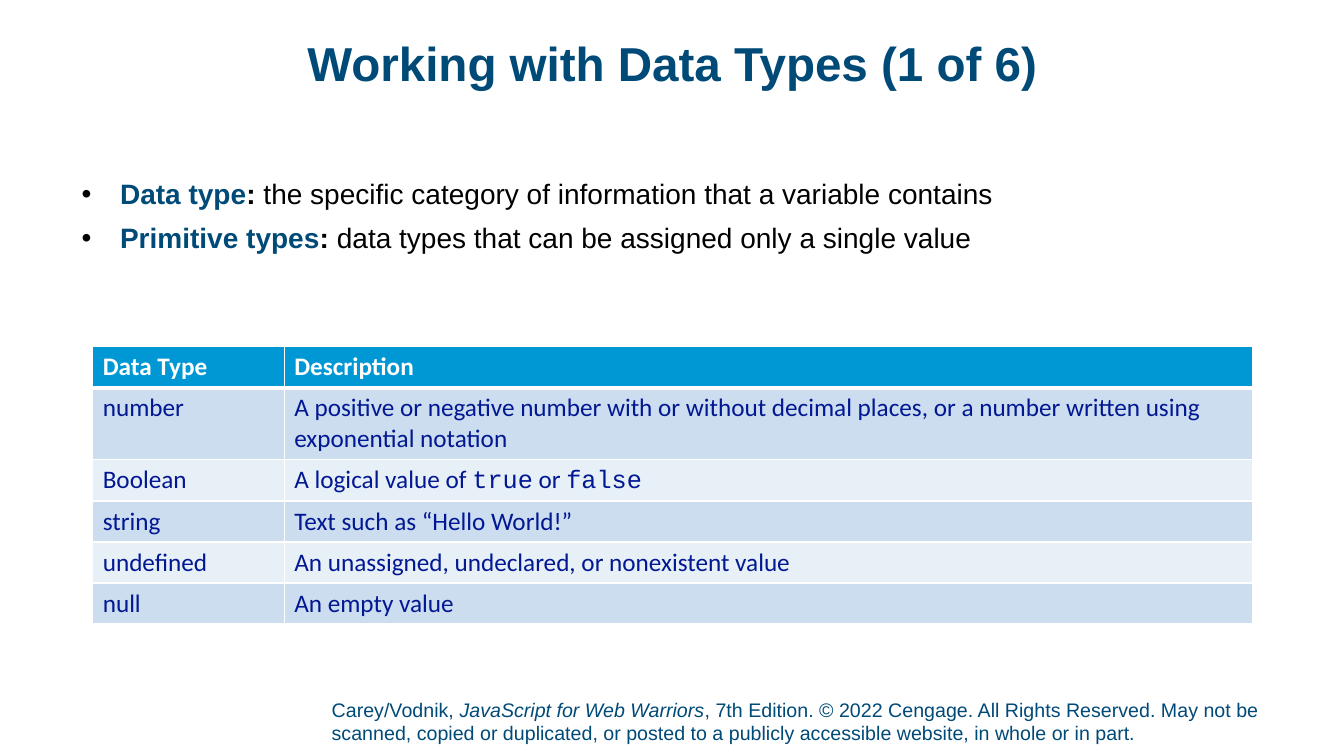
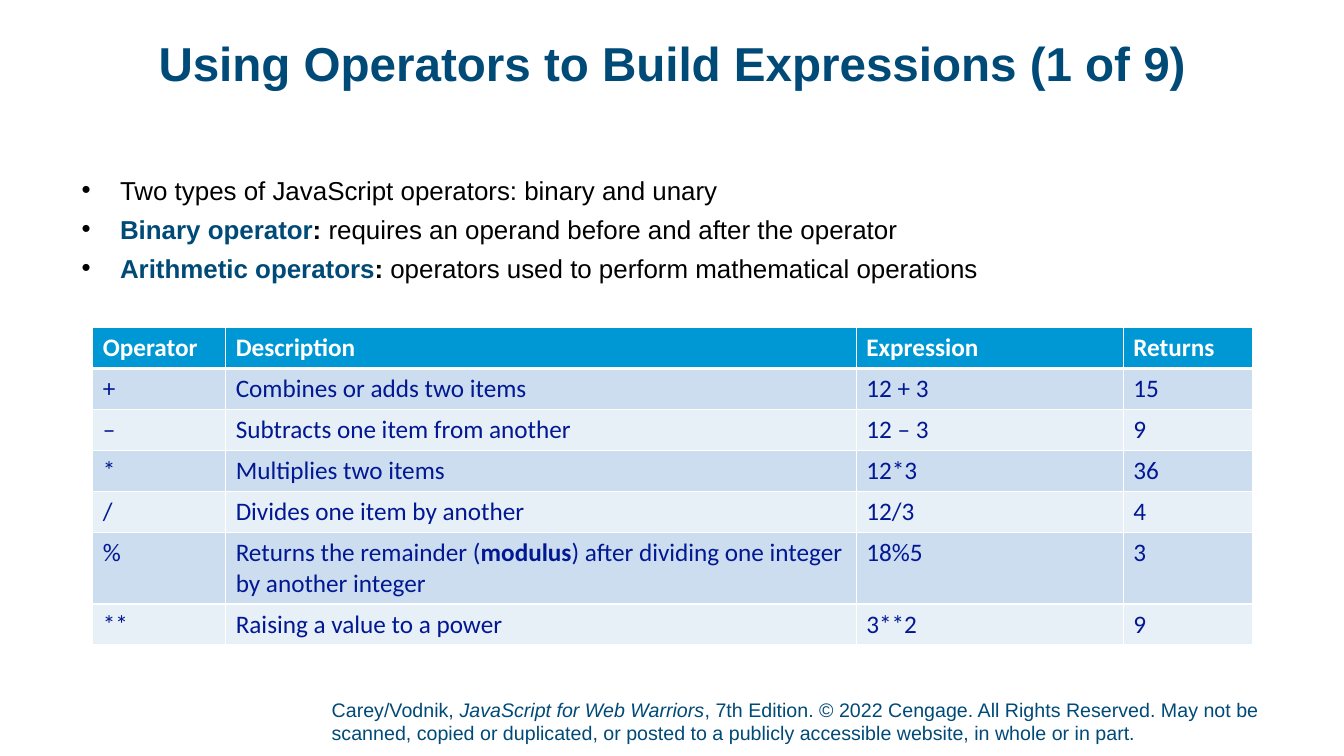
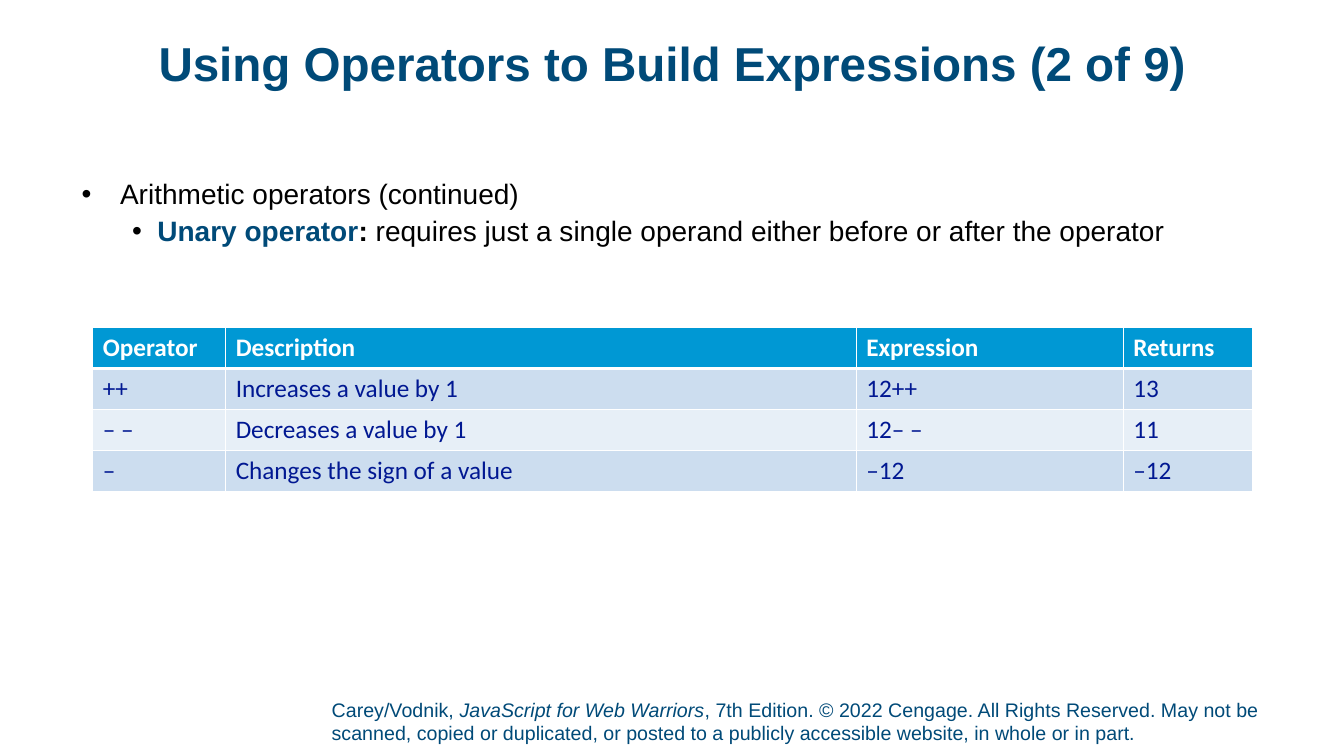
from dataclasses import dataclass

from lxml.etree import SubElement
from pptx import Presentation
from pptx.dml.color import RGBColor
from pptx.enum.text import MSO_ANCHOR as Anchor, MSO_AUTO_SIZE as AutoSize, PP_ALIGN as Align
from pptx.oxml.ns import qn
from pptx.util import Inches, Pt

SLIDE_WIDTH = Inches(13.33)
SLIDE_HEIGHT = Inches(7.5)


@dataclass(frozen=True)
class Theme:
    navy: str = "004A78"
    black: str = "000000"
    white: str = "FFFFFF"
    header: str = "0098D4"
    cell_ink: str = "011892"
    bands: tuple = ("CCDDEF", "E7EFF7")
    sans: str = "Arial"
    table_font: str = "Calibri"
    mono: str = "Courier New"
    title_size: float = 34
    body_size: float = 20
    compact_size: float = 18.5
    table_size: float = 18
    footer_size: float = 14
    thin: float = 1
    thick: float = 3


THEME = Theme()

TITLE_AREA = (6.9, 5.33, 86.27, 9.87)
FOOTER_AREA = (24.68, 92.27, 73.44, 6.93)
BODY_LEFT, BODY_TOP, BODY_WIDTH = 6.08, 23.87, 87.85
TABLE_LEFT, TABLE_WIDTH = 6.9, 86.27
ROW_HEIGHT = 5.42
BULLET_LEVELS = ((0.38, -0.38, 10), (0.75, -0.25, 5))

FOOTER = [
    "Carey/Vodnik, ",
    ("JavaScript for Web Warriors", "italic"),
    ", 7th Edition. © 2022 Cengage. All Rights Reserved. May not be scanned, copied or "
    "duplicated, or posted to a publicly accessible website, in whole or in part.",
]

OPERATOR_HEADINGS = ["Operator", "Description", "Expression", "Returns"]
OPERATOR_COLUMNS = (1.32, 6.26, 2.65, 1.28)


def area(left, top, width, height):
    return (
        round(SLIDE_WIDTH * left / 100),
        round(SLIDE_HEIGHT * top / 100),
        round(SLIDE_WIDTH * width / 100),
        round(SLIDE_HEIGHT * height / 100),
    )


def definition(term, meaning):
    return [(term, "term"), (": ", "strong"), meaning]


def style_font(font, name, size, color, bold=None):
    font.name = name
    font.size = Pt(size)
    font.color.rgb = RGBColor.from_string(color)
    font.bold = bold


def write(paragraph, content):
    pieces = [content] if isinstance(content, str) else content
    for piece in pieces:
        text, style = (piece, "plain") if isinstance(piece, str) else piece
        run = paragraph.add_run()
        run.text = text
        if style in ("term", "strong"):
            run.font.bold = True
        if style == "term":
            run.font.color.rgb = RGBColor.from_string(THEME.navy)
        if style == "italic":
            run.font.italic = True
        if style == "code":
            run.font.name = THEME.mono


def prepare_frame(shape, anchor=Anchor.TOP, bottom=0):
    frame = shape.text_frame
    frame.word_wrap = True
    frame.auto_size = AutoSize.NONE
    frame.vertical_anchor = anchor
    frame.margin_left = frame.margin_top = frame.margin_right = 0
    frame.margin_bottom = Inches(bottom)
    return frame


def place(shape, box):
    shape.left, shape.top, shape.width, shape.height = area(*box)


def add_footer(slide):
    footer = slide.shapes.add_textbox(*area(*FOOTER_AREA))
    paragraph = prepare_frame(footer, Anchor.BOTTOM, 0.05).paragraphs[0]
    style_font(paragraph.font, THEME.sans, THEME.footer_size, THEME.navy)
    write(paragraph, FOOTER)


def set_title(slide, text):
    title = slide.shapes.title
    place(title, TITLE_AREA)
    paragraph = prepare_frame(title).paragraphs[0]
    paragraph.alignment = Align.CENTER
    paragraph.line_spacing = 0.9
    style_font(paragraph.font, THEME.sans, THEME.title_size, THEME.navy, True)
    write(paragraph, text)


def set_bullet(paragraph, left, indent):
    properties = paragraph._p.get_or_add_pPr()
    properties.set("marL", str(Inches(left)))
    properties.set("indent", str(Inches(indent)))
    color = SubElement(properties, qn("a:buClr"))
    SubElement(color, qn("a:srgbClr"), val=THEME.black)
    SubElement(properties, qn("a:buFont"), typeface=THEME.sans)
    SubElement(properties, qn("a:buChar"), char="•")


def set_bullets(slide, items, height, size=THEME.body_size, spacing=0.9):
    body = slide.placeholders[1]
    place(body, (BODY_LEFT, BODY_TOP, BODY_WIDTH, height))
    frame = prepare_frame(body)
    for index, (level, content) in enumerate(items):
        paragraph = frame.add_paragraph() if index else frame.paragraphs[0]
        left, indent, gap = BULLET_LEVELS[level]
        paragraph.level = level
        set_bullet(paragraph, left, indent)
        paragraph.line_spacing = spacing
        paragraph.space_before = Pt(gap if index else 0)
        style_font(paragraph.font, THEME.sans, size, THEME.black)
        write(paragraph, content)


def set_borders(cell, top, bottom):
    properties = cell._tc.get_or_add_tcPr()
    sides = {"lnL": THEME.thin, "lnR": THEME.thin, "lnT": top, "lnB": bottom}
    for side, width in sides.items():
        line = SubElement(properties, qn(f"a:{side}"), w=str(Pt(width)))
        fill = SubElement(line, qn("a:solidFill"))
        SubElement(fill, qn("a:srgbClr"), val=THEME.white)


def fill_cell(cell, content, row):
    is_header = row == 0
    set_borders(
        cell,
        THEME.thick if row == 1 else THEME.thin,
        THEME.thick if is_header else THEME.thin,
    )
    band = THEME.header if is_header else THEME.bands[(row - 1) % 2]
    cell.fill.solid()
    cell.fill.fore_color.rgb = RGBColor.from_string(band)
    paragraph = cell.text_frame.paragraphs[0]
    ink = THEME.white if is_header else THEME.cell_ink
    style_font(paragraph.font, THEME.table_font, THEME.table_size, ink, is_header)
    write(paragraph, content)


def add_grid(slide, top, columns, rows):
    box = area(TABLE_LEFT, top, TABLE_WIDTH, ROW_HEIGHT * len(rows))
    table = slide.shapes.add_table(len(rows), len(columns), *box).table
    for column, share in zip(table.columns, columns):
        column.width = round(box[2] * share / sum(columns))
    for row, contents in enumerate(rows):
        for column, content in enumerate(contents):
            fill_cell(table.cell(row, column), content, row)


def add_slide(deck, title):
    slide = deck.slides.add_slide(deck.slide_layouts[1])
    add_footer(slide)
    set_title(slide, title)
    return slide


def add_data_types(deck):
    slide = add_slide(deck, "Working with Data Types (1 of 6)")
    set_bullets(slide, [
        (0, definition("Data type", "the specific category of information that a variable contains")),
        (0, definition("Primitive types", "data types that can be assigned only a single value")),
    ], height=17.6)
    add_grid(slide, 45.87, (1.9, 9.6), [
        ["Data Type", "Description"],
        ["number", "A positive or negative number with or without decimal places, "
                   "or a number written using exponential notation"],
        ["Boolean", ["A logical value of ", ("true", "code"), " or ", ("false", "code")]],
        ["string", "Text such as “Hello World!”"],
        ["undefined", "An unassigned, undeclared, or nonexistent value"],
        ["null", "An empty value"],
    ])


def add_binary_operators(deck):
    slide = add_slide(deck, "Using Operators to Build Expressions (1 of 9)")
    set_bullets(slide, [
        (0, "Two types of JavaScript operators: binary and unary"),
        (0, definition("Binary operator", "requires an operand before and after the operator")),
        (0, definition("Arithmetic operators", "operators used to perform mathematical operations")),
    ], height=14.27, size=THEME.compact_size, spacing=0.8)
    add_grid(slide, 43.33, OPERATOR_COLUMNS, [
        OPERATOR_HEADINGS,
        ["+", "Combines or adds two items", "12 + 3", "15"],
        ["–", "Subtracts one item from another", "12 – 3", "9"],
        ["*", "Multiplies two items", "12*3", "36"],
        ["/", "Divides one item by another", "12/3", "4"],
        ["%", ["Returns the remainder (", ("modulus", "strong"),
               ") after dividing one integer by another integer"], "18%5", "3"],
        ["**", "Raising a value to a power", "3**2", "9"],
    ])


def add_unary_operators(deck):
    slide = add_slide(deck, "Using Operators to Build Expressions (2 of 9)")
    set_bullets(slide, [
        (0, "Arithmetic operators (continued)"),
        (1, definition("Unary operator",
                       "requires just a single operand either before or after the operator")),
    ], height=14.27)
    add_grid(slide, 43.33, OPERATOR_COLUMNS, [
        OPERATOR_HEADINGS,
        ["++", "Increases a value by 1", "12++", "13"],
        ["– –", "Decreases a value by 1", "12– –", "11"],
        ["–", "Changes the sign of a value", "–12", "–12"],
    ])


def main():
    deck = Presentation()
    deck.slide_width = SLIDE_WIDTH
    deck.slide_height = SLIDE_HEIGHT
    add_data_types(deck)
    add_binary_operators(deck)
    add_unary_operators(deck)
    deck.save("out.pptx")


if __name__ == "__main__":
    main()
